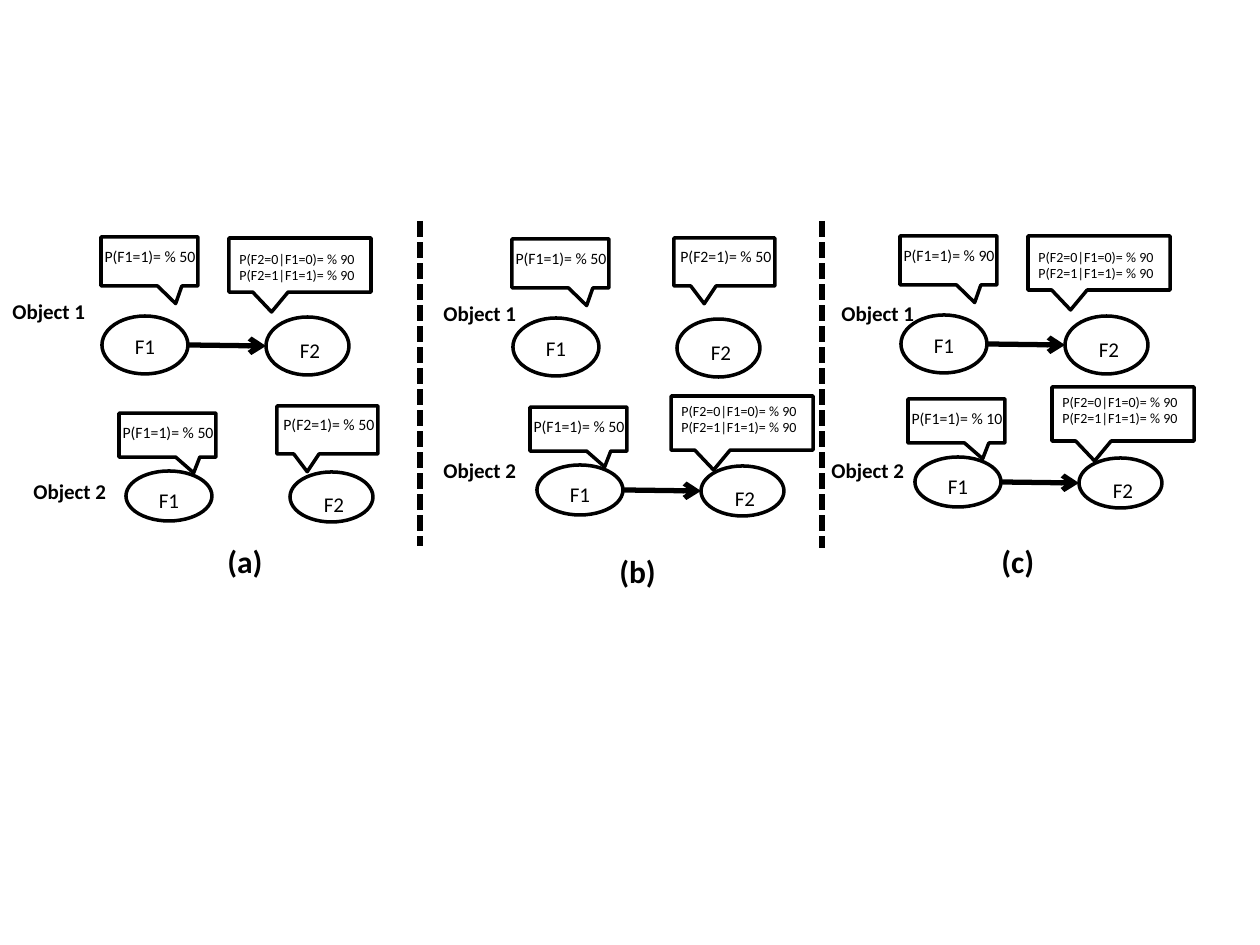
from dataclasses import dataclass

from lxml.etree import SubElement
from pptx import Presentation
from pptx.dml.color import RGBColor
from pptx.enum.dml import MSO_LINE
from pptx.enum.shapes import MSO_CONNECTOR, MSO_SHAPE
from pptx.enum.text import MSO_AUTO_SIZE, PP_ALIGN
from pptx.oxml.ns import qn
from pptx.shapes.autoshape import Shape
from pptx.shapes.connector import Connector
from pptx.slide import Slide
from pptx.util import Emu, Pt

BLACK = RGBColor(0, 0, 0)
FONT = "Calibri"
PAIR = ("P(F2=0|F1=0)= % 90", "P(F2=1|F1=1)= % 90")
LONE = ("P(F2=1)= % 50",)


@dataclass
class Model:
    name: str
    label: tuple[int, int]
    node: tuple[int, int]
    note: tuple[int, int]
    first: int
    linked: bool
    upper: bool


@dataclass
class Panel:
    name: str
    left: int
    top: int


MODELS = [
    Model("Object 1", (0, 292), (102, 316), (229, 238), 50, True, True),
    Model("Object 2", (21, 472), (126, 471), (277, 406), 50, False, False),
    Model("Object 1", (431, 294), (513, 318), (674, 238), 50, False, True),
    Model("Object 2", (431, 451), (537, 465), (671, 396), 50, True, False),
    Model("Object 1", (829, 294), (901, 315), (1028, 236), 90, True, True),
    Model("Object 2", (819, 451), (915, 457), (1052, 387), 10, True, False),
]
PANELS = [Panel("(a)", 215, 536), Panel("(b)", 607, 546), Panel("(c)", 989, 536)]
RULES = [(420, 221, 546), (822, 221, 548)]


def px(count: int) -> Emu:
    return Emu(round(count * 914400 / 126))


def write(slide: Slide, lines: tuple[str, ...], left: int, top: int, width: int,
          height: int, size: int, bold: bool = False, mid: bool = False) -> None:
    box = slide.shapes.add_textbox(px(left), px(top), px(width), px(height))
    frame = box.text_frame
    frame.word_wrap = True
    frame.auto_size = MSO_AUTO_SIZE.SHAPE_TO_FIT_TEXT
    for index, line in enumerate(lines):
        para = frame.add_paragraph() if index else frame.paragraphs[0]
        para.alignment = PP_ALIGN.CENTER if mid else PP_ALIGN.LEFT
        run = para.add_run()
        run.text = line
        run.font.name = FONT
        run.font.size = Pt(size)
        run.font.bold = bold
        run.font.color.rgb = BLACK


def outline(slide: Slide, kind: MSO_SHAPE, left: int, top: int,
            width: int, height: int) -> Shape:
    shape = slide.shapes.add_shape(kind, px(left), px(top), px(width), px(height))
    shape.shadow.inherit = False
    shape.fill.background()
    shape.line.color.rgb = BLACK
    shape.line.width = Pt(2)
    return shape


def bubble(slide: Slide, left: int, top: int, width: int, height: int,
           tail: tuple[float, float]) -> None:
    shape = outline(slide, MSO_SHAPE.RECTANGULAR_CALLOUT, left, top, width, height)
    shape.adjustments[0], shape.adjustments[1] = tail


def stroke(slide: Slide, left: int, top: int, right: int, bottom: int) -> Connector:
    line = slide.shapes.add_connector(
        MSO_CONNECTOR.STRAIGHT, px(left), px(top), px(right), px(bottom))
    line.line.color.rgb = BLACK
    line.line.width = Pt(3)
    SubElement(line._element.spPr, qn("a:effectLst"))
    return line


def arrow(slide: Slide, start: Shape, end: Shape) -> None:
    line = stroke(slide, 0, 0, 0, 0)
    line.begin_connect(start, 3)
    line.end_connect(end, 1)
    SubElement(line.line._get_or_add_ln(), qn("a:tailEnd"), type="arrow")


def draw(slide: Slide, model: Model) -> None:
    left, top = model.node
    tall = 58 if model.upper else 50
    start = outline(slide, MSO_SHAPE.OVAL, left, top, 86, tall)
    end = outline(slide, MSO_SHAPE.OVAL, left + 164, top + 1, 83, tall)
    drop = 11 if model.upper else 10
    write(slide, ("F1",), left + 9, top + drop, 68, 30, 12, mid=True)
    write(slide, ("F2",), left + 175, top + drop + 4, 66, 30, 12, mid=True)
    if model.linked:
        arrow(slide, start, end)

    side, rise, deep = (-1, -79, 49) if model.upper else (-7, -58, 44)
    bubble(slide, left + side, top + rise, 97, deep, (0.27, 0.86))
    write(slide, (f"P(F1=1)= % {model.first}",), left + side - 12,
          top + rise + 4, 122, 32, 9, mid=True)

    left, top = model.note
    paired = model.linked
    wide, deep = (142, 54) if paired else (101, 48)
    bubble(slide, left, top, wide, deep, (-0.2, 0.87))
    if paired:
        write(slide, PAIR, left - 2, top + (6 if model.upper else 0), 146, 47, 8)
    else:
        write(slide, LONE, left - 6, top + 3, 125, 32, 9)
    write(slide, (model.name,), *model.label, 126, 38, 12, bold=True)


def main() -> None:
    deck = Presentation()
    deck.slide_width, deck.slide_height = px(1260), px(945)
    slide = deck.slides.add_slide(deck.slide_layouts[6])
    for model in MODELS:
        draw(slide, model)
    for left, top, bottom in RULES:
        stroke(slide, left, top, left, bottom).line.dash_style = MSO_LINE.SQUARE_DOT
    for panel in PANELS:
        write(slide, (panel.name,), panel.left, panel.top, 74, 50, 18, bold=True)
    deck.save("out.pptx")


if __name__ == "__main__":
    main()
